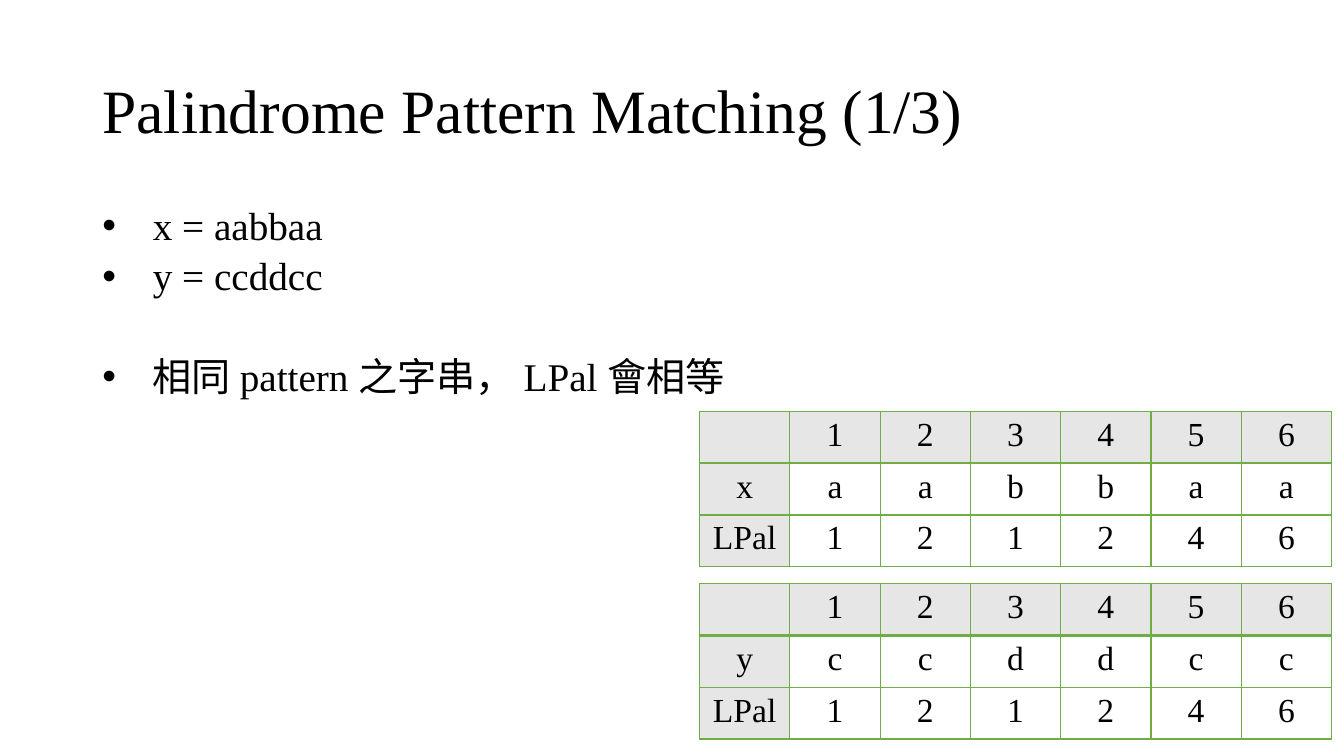
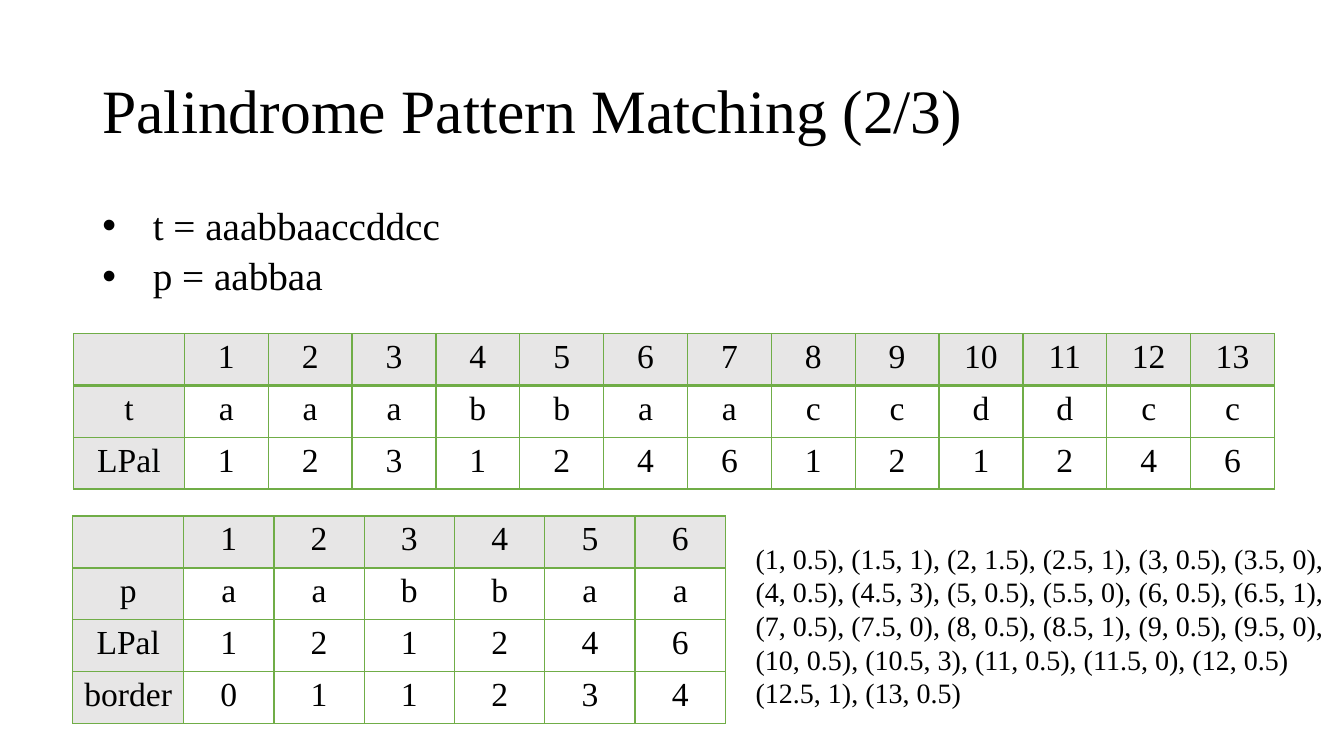
from lxml.etree import SubElement
from pptx import Presentation
from pptx.dml.color import RGBColor
from pptx.enum.text import MSO_ANCHOR, MSO_AUTO_SIZE, PP_ALIGN
from pptx.oxml.ns import qn
from pptx.util import Pt

COLORS = {"text": "000000", "label": "E7E6E6", "border": "70AD47"}
FONT = "Times New Roman"
ROW_H = 37


def add_run(p, text, size):
    r = p.add_run()
    r.text = text
    r.font.size = Pt(size)
    r.font.name = FONT
    r.font.color.rgb = RGBColor.from_string(COLORS["text"])


def place(shape, x, y, w, h):
    shape.left, shape.top, shape.width, shape.height = Pt(x), Pt(y), Pt(w), Pt(h)


def add_lines(tf, lines):
    """Yield one paragraph per line, reusing the first empty one."""
    for i, line in enumerate(lines):
        yield (tf.add_paragraph() if i else tf.paragraphs[0]), line


def set_bullet(p):
    pPr = p._p.get_or_add_pPr()
    pPr.set("marL", str(Pt(36)))
    pPr.set("indent", str(-Pt(36)))
    SubElement(SubElement(pPr, qn("a:buClr")), qn("a:srgbClr"), val=COLORS["text"])
    SubElement(pPr, qn("a:buFont"), typeface="Arial")
    SubElement(pPr, qn("a:buChar"), char="•")


def add_content_slide(prs, title, bullets):
    """Add a titled slide; bullets are (text, space before) pairs."""
    s = prs.slides.add_slide(prs.slide_layouts[1])
    place(s.shapes.title, 66, 28.8, 828, 104.4)
    tf = s.shapes.title.text_frame
    tf.vertical_anchor = MSO_ANCHOR.MIDDLE
    tf.auto_size = MSO_AUTO_SIZE.NONE
    p = tf.paragraphs[0]
    p.alignment = PP_ALIGN.LEFT
    p.line_spacing = 0.9
    add_run(p, title, 44)

    body = s.placeholders[1]
    place(body, 66, 144, 828, 342.7)
    body.text_frame.auto_size = MSO_AUTO_SIZE.NONE
    for p, (text, before) in add_lines(body.text_frame, bullets):
        set_bullet(p)
        p.line_spacing = 0.9
        p.space_before = Pt(before)
        add_run(p, text, 28)
    return s


def set_borders(cell, widths):
    tcPr = cell._tc.get_or_add_tcPr()
    for side, width in widths.items():
        ln = SubElement(tcPr, qn(f"a:ln{side}"), w=str(Pt(width)))
        fill = SubElement(ln, qn("a:solidFill"))
        SubElement(fill, qn("a:srgbClr"), val=COLORS["border"])


def add_string_table(s, x, y, label_w, col_w, rows):
    """Add an index row above rows of (label, one character per column)."""
    n = len(rows[0][1])
    grid = [["", *map(str, range(1, n + 1))]]
    grid += [[label, *values] for label, values in rows]
    frame = s.shapes.add_table(len(grid), n + 1, Pt(x), Pt(y),
                               Pt(label_w + n * col_w), Pt(len(grid) * ROW_H))
    table = frame.table
    for j, col in enumerate(table.columns):
        col.width = Pt(col_w if j else label_w)
    for i, row in enumerate(grid):
        table.rows[i].height = Pt(ROW_H)
        for j, text in enumerate(row):
            cell = table.cell(i, j)
            set_borders(cell, {"L": 1, "R": 1, "T": 2 if i == 1 else 1,
                               "B": 2 if i == 0 else 1})
            if i == 0 or j == 0:
                cell.fill.solid()
                cell.fill.fore_color.rgb = RGBColor.from_string(COLORS["label"])
            else:
                cell.fill.background()
            p = cell.text_frame.paragraphs[0]
            p.alignment = PP_ALIGN.CENTER
            if text:
                add_run(p, text, 24)


def add_text(s, x, y, w, h, lines):
    tf = s.shapes.add_textbox(Pt(x), Pt(y), Pt(w), Pt(h)).text_frame
    tf.word_wrap = True
    for p, line in add_lines(tf, lines):
        add_run(p, line, 20)


def build_same_pattern(prs):
    s = add_content_slide(prs, "Palindrome Pattern Matching (1/3)", [
        ("x = aabbaa", 0),
        ("y = ccddcc", 5.6),
        ("相同 pattern 之字串， LPal 會相等", 41.4),
    ])
    for y, name, string in ((293.8, "x", "aabbaa"), (416.9, "y", "ccddcc")):
        add_string_table(s, 499.7, y, 64.5, 64.5,
                         [(name, string), ("LPal", "121246")])


def build_text_and_pattern(prs):
    s = add_content_slide(prs, "Palindrome Pattern Matching (2/3)", [
        ("t = aaabbaaccddcc", 0),
        ("p = aabbaa", 5.6),
    ])
    add_string_table(s, 52.5, 238.3, 79.2, 59.9,
                     [("t", "aaabbaaccddcc"), ("LPal", "1231246121246")])
    add_string_table(s, 52, 368.6, 79.2, 64.5,
                     [("p", "aabbaa"), ("LPal", "121246"), ("border", "011234")])
    add_text(s, 532.6, 383, 428.4, 128.2, [
        "(1, 0.5), (1.5, 1), (2, 1.5), (2.5, 1), (3, 0.5), (3.5, 0),",
        "(4, 0.5), (4.5, 3), (5, 0.5), (5.5, 0), (6, 0.5), (6.5, 1),",
        "(7, 0.5), (7.5, 0), (8, 0.5), (8.5, 1), (9, 0.5), (9.5, 0),",
        "(10, 0.5), (10.5, 3), (11, 0.5), (11.5, 0), (12, 0.5)",
        "(12.5, 1), (13, 0.5)",
    ])


def main():
    prs = Presentation()
    prs.slide_width, prs.slide_height = Pt(960), Pt(540)
    build_same_pattern(prs)
    build_text_and_pattern(prs)
    prs.save("out.pptx")


if __name__ == "__main__":
    main()
